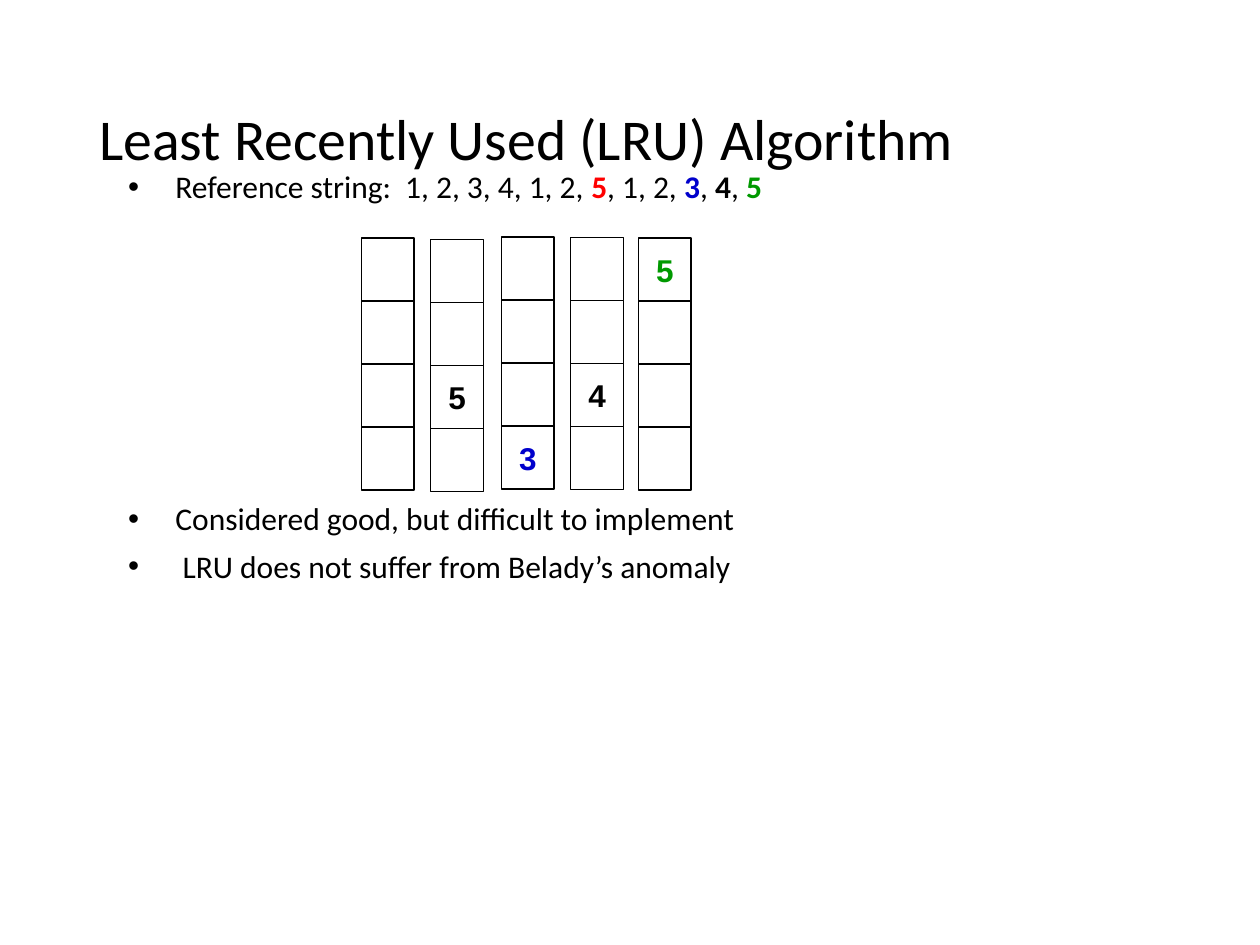
from lxml.etree import SubElement
from pptx import Presentation
from pptx.dml.color import RGBColor
from pptx.enum.shapes import MSO_SHAPE as Shape
from pptx.enum.text import MSO_ANCHOR as Anchor, PP_ALIGN as Align
from pptx.oxml.ns import qn
from pptx.util import Pt

BLACK = RGBColor(0, 0, 0)
WHITE = RGBColor(255, 255, 255)
RED = RGBColor(255, 0, 0)
BLUE = RGBColor(0, 0, 0xCC)
GREEN = RGBColor(0, 0x99, 0)

TITLE = "Least Recently Used (LRU) Algorithm"
BULLETS = [
    (0, [
        ("Reference string:  1, 2, 3, 4, 1, 2, ", BLACK, False),
        ("5", RED, True),
        (", 1, 2, ", BLACK, False),
        ("3", BLUE, True),
        (", ", BLACK, False),
        ("4", BLACK, True),
        (", ", BLACK, False),
        ("5", GREEN, True),
    ]),
    (170.5, [("Considered good, but difficult to implement", BLACK, False)]),
    (7.5, [(" LRU does not suffer from Belady’s anomaly", BLACK, False)]),
]
FRAME_COLUMNS = [
    (206.6, 136.1, {}),
    (246.2, 136.8, {2: ("5", BLACK)}),
    (286.6, 135.4, {3: ("3", BLUE)}),
    (326.2, 135.7, {2: ("4", BLACK)}),
    (365, 136.1, {0: ("5", GREEN)}),
]
FRAME_COUNT = 4
CELL_WIDTH, CELL_HEIGHT = 30, 36
INDENT = 27


def add_run(paragraph, text, font_name, size, color, bold=False):
    run = paragraph.add_run()
    run.text = text
    run.font.name = font_name
    run.font.size = Pt(size)
    run.font.color.rgb = color
    run.font.bold = bold


def add_text_frame(slide, left, top, width, height):
    box = slide.shapes.add_textbox(Pt(left), Pt(top), Pt(width), Pt(height))
    box.text_frame.word_wrap = True
    return box.text_frame


def add_bullet(paragraph):
    properties = paragraph._p.get_or_add_pPr()
    properties.set("marL", str(Pt(INDENT)))
    properties.set("indent", str(Pt(-INDENT)))
    SubElement(properties, qn("a:buFont"), typeface="Arial")
    SubElement(properties, qn("a:buChar"), char="•")


def add_cell(slide, left, top, label):
    cell = slide.shapes.add_shape(
        Shape.RECTANGLE, Pt(left), Pt(top), Pt(CELL_WIDTH), Pt(CELL_HEIGHT))
    cell.shadow.inherit = False
    cell.fill.solid()
    cell.fill.fore_color.rgb = WHITE
    cell.line.color.rgb = BLACK
    cell.line.width = Pt(0.75)
    if label:
        text, color = label
        frame = cell.text_frame
        frame.word_wrap = False
        frame.vertical_anchor = Anchor.MIDDLE
        paragraph = frame.paragraphs[0]
        paragraph.alignment = Align.CENTER
        add_run(paragraph, text, "Arial", 18, color, True)


def main():
    presentation = Presentation()
    presentation.slide_width, presentation.slide_height = Pt(720), Pt(540)
    slide = presentation.slides.add_slide(presentation.slide_layouts[6])

    title = add_text_frame(slide, 49.7, 28.8, 620.6, 104.4)
    title.vertical_anchor = Anchor.MIDDLE
    title.paragraphs[0].line_spacing = 0.9
    add_run(title.paragraphs[0], TITLE, "Calibri", 33, BLACK)

    body = add_text_frame(slide, 66.2, 94.3, 599.8, 352.8)
    for index, (space_before, runs) in enumerate(BULLETS):
        paragraph = body.add_paragraph() if index else body.paragraphs[0]
        add_bullet(paragraph)
        paragraph.line_spacing = 0.9
        if index:
            paragraph.space_before = Pt(space_before)
        for text, color, bold in runs:
            add_run(paragraph, text, "Calibri", 18, color, bold)

    for left, top, labels in FRAME_COLUMNS:
        for row in range(FRAME_COUNT):
            add_cell(slide, left, top + row * CELL_HEIGHT, labels.get(row))

    presentation.save("out.pptx")


if __name__ == "__main__":
    main()
